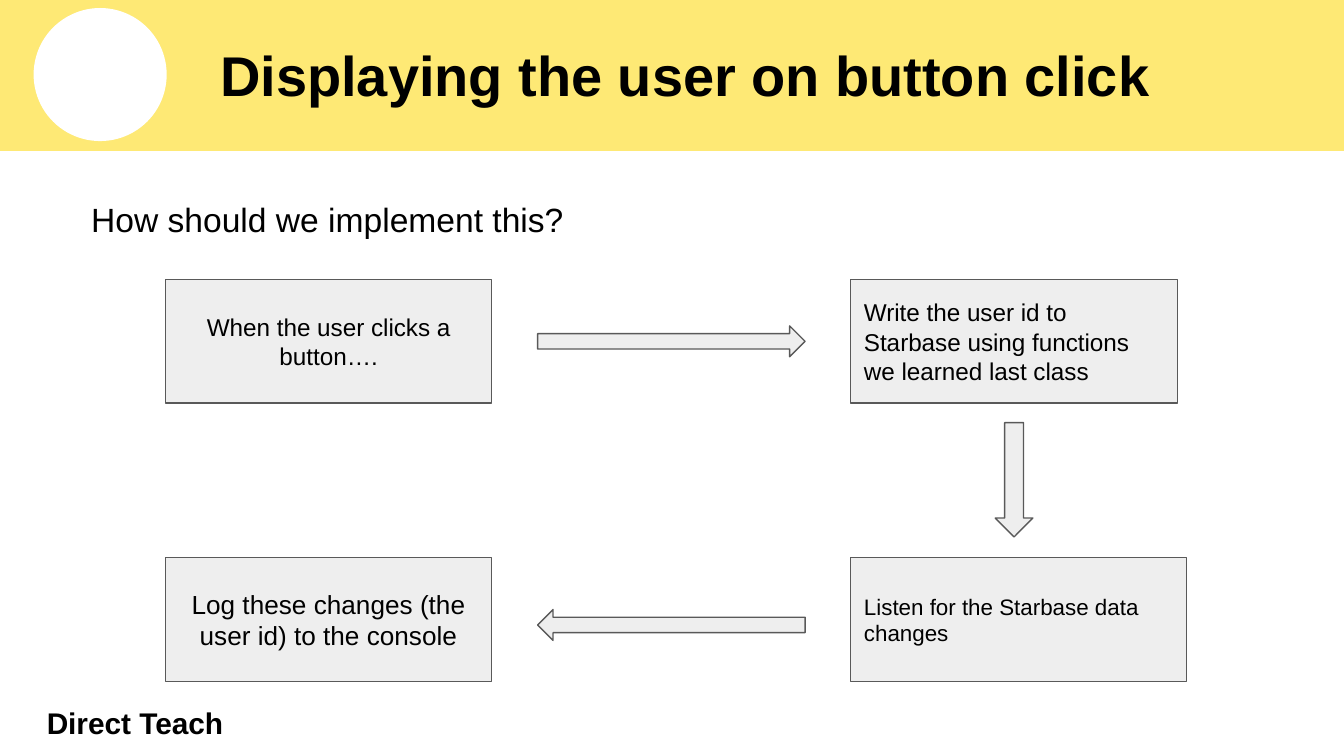
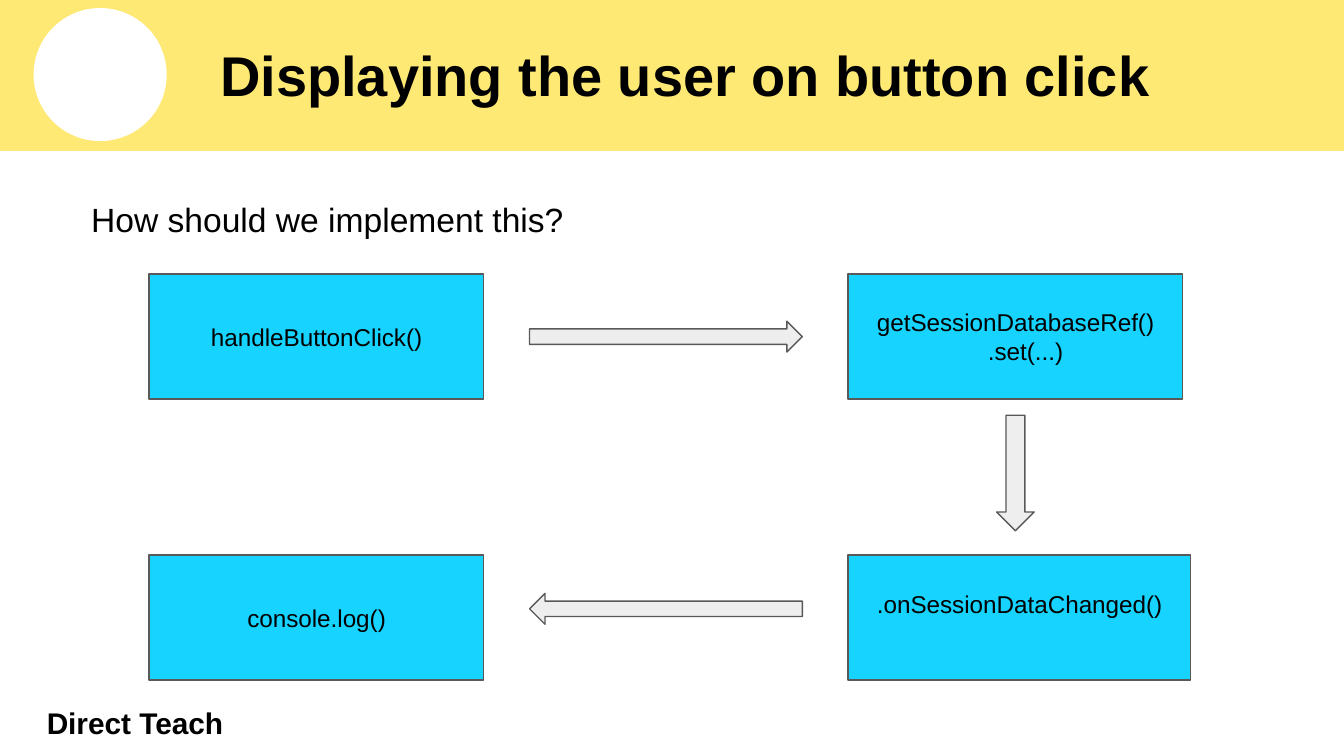
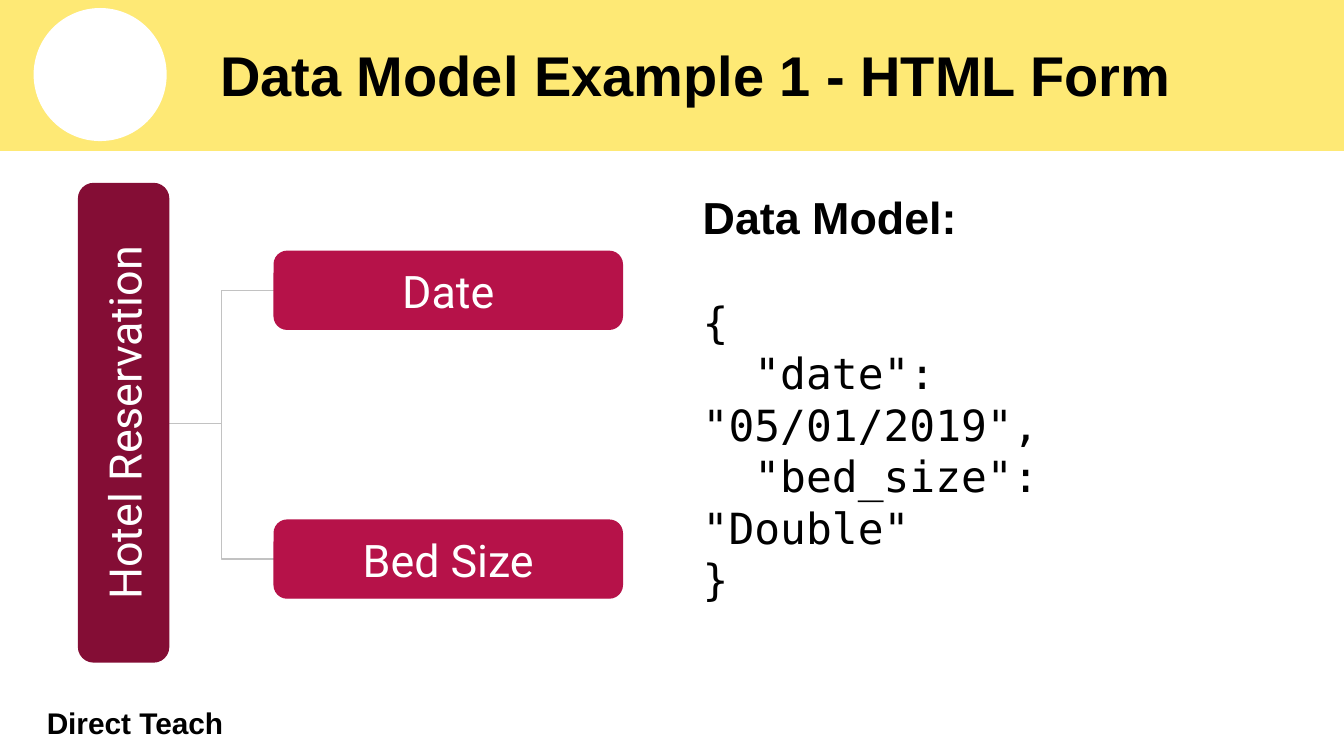
from dataclasses import dataclass

from lxml.etree import SubElement
from pptx import Presentation
from pptx.dml.color import RGBColor
from pptx.enum.shapes import MSO_CONNECTOR, MSO_SHAPE
from pptx.enum.text import MSO_ANCHOR, PP_ALIGN
from pptx.oxml.ns import qn
from pptx.util import Inches, Pt


@dataclass(frozen=True)
class Theme:
    """Colours, fonts and type sizes of the deck."""
    band: str = "FEE975"
    paper: str = "FFFFFF"
    ink: str = "000000"
    outline: str = "595959"
    idea: str = "EEEEEE"
    code: str = "17D3FF"
    root: str = "840D35"
    branch: str = "B61249"
    tree_line: str = "C2C2C2"
    sans: str = "Arial"
    mono: str = "DejaVu Sans Mono"
    label: str = "Roboto"
    title_size: int = 30
    heading_size: int = 24
    code_size: int = 23
    question_size: int = 18
    footer_size: int = 16
    box_size: int = 13
    line_width: float = 0.75


@dataclass(frozen=True)
class FlowGrid:
    """Columns and rows of a four-box flow, in grid units."""
    left: float
    right: float
    top: float
    bottom: float
    width: float
    height: float
    last_width: float
    down_center: float
    down_length: float
    return_center: float


THEME = Theme()
COLUMNS, ROWS = 10, 5.625
MARGIN = 0.1
ARROW_GAP = 0.34
ARROW_HEIGHT = 0.23
DOWN_ARROW_HEIGHT = 0.28


def grid(*units):
    """Turn grid units into lengths."""
    return [Inches(unit) for unit in units]


def color(code):
    """Return the colour of a hex code."""
    return RGBColor.from_string(code)


def style(paragraph, size, ink=THEME.ink, font=THEME.sans, bold=False):
    """Set the font of a paragraph."""
    paragraph.font.size = Pt(size)
    paragraph.font.name = font
    paragraph.font.bold = bold
    paragraph.font.color.rgb = color(ink)


def write(shape, lines, size, align=PP_ALIGN.LEFT, anchor=MSO_ANCHOR.MIDDLE, **font):
    """Fill a shape with one styled paragraph per line."""
    frame = shape.text_frame
    frame.word_wrap = True
    frame.vertical_anchor = anchor
    (frame.margin_left, frame.margin_top,
     frame.margin_right, frame.margin_bottom) = grid(*[MARGIN] * 4)
    frame.text = "\n".join(lines)
    for paragraph in frame.paragraphs:
        paragraph.alignment = align
        style(paragraph, size, **font)
    return frame


def add_text(slide, place, lines, size, **options):
    """Add a text box and return its frame."""
    return write(slide.shapes.add_textbox(*grid(*place)), lines, size, **options)


def add_block(slide, kind, place, fill, line, rotation=0):
    """Add a flat filled shape."""
    shape = slide.shapes.add_shape(kind, *grid(*place))
    shape.shadow.inherit = False
    shape.rotation = rotation
    shape.fill.solid()
    shape.fill.fore_color.rgb = color(fill)
    shape.line.color.rgb = color(line)
    shape.line.width = Pt(THEME.line_width)
    return shape


def add_arrow(slide, center_x, center_y, length, height, rotation):
    """Add a block arrow around a centre."""
    place = (center_x - length / 2, center_y - height / 2, length, height)
    add_block(slide, MSO_SHAPE.RIGHT_ARROW, place, THEME.idea, THEME.outline, rotation)


def add_label(slide, place, text, fill, rotation=0):
    """Add a rounded tree label."""
    shape = add_block(slide, MSO_SHAPE.ROUNDED_RECTANGLE, place, fill, fill, rotation)
    write(shape, [text], THEME.heading_size, PP_ALIGN.CENTER,
          ink=THEME.paper, font=THEME.label)


def add_branch_line(slide, *ends):
    """Add an elbow line between two points."""
    connector = slide.shapes.add_connector(MSO_CONNECTOR.ELBOW, *grid(*ends))
    connector.line.color.rgb = color(THEME.tree_line)
    connector.line.width = Pt(THEME.line_width)
    SubElement(connector._element.spPr, qn("a:effectLst"))


def add_slide(presentation, title):
    """Add a slide with the shared band, circle, footer and title."""
    slide = presentation.slides.add_slide(presentation.slide_layouts[6])
    add_block(slide, MSO_SHAPE.RECTANGLE, (0, -0.01, COLUMNS, 1.13), THEME.band, THEME.band)
    circle = add_block(slide, MSO_SHAPE.OVAL, (0.25, 0.06, 0.99, 0.99),
                       THEME.paper, THEME.paper)
    circle.line.fill.background()
    add_text(slide, (0.25, 5.25, 3, 0.25), ["Direct Teach"], THEME.footer_size, bold=True)
    add_text(slide, (1.54, 0.06, 8.2, 0.99), [title], THEME.title_size, bold=True)
    return slide


def add_flow_slide(presentation, flow, fill, steps):
    """Add a slide whose four steps run clockwise from the top left."""
    slide = add_slide(presentation, "Displaying the user on button click")
    add_text(slide, (0.58, 1.38, 9.08, 0.8), ["How should we implement this?"],
             THEME.question_size, anchor=MSO_ANCHOR.TOP)
    places = [(flow.left, flow.top, flow.width), (flow.right, flow.top, flow.width),
              (flow.right, flow.bottom, flow.last_width), (flow.left, flow.bottom, flow.width)]
    frames = []
    for place, (lines, size, align) in zip(places, steps):
        box = add_block(slide, MSO_SHAPE.RECTANGLE, (*place, flow.height), fill, THEME.outline)
        frames.append(write(box, lines, size, align))
    gutter_center = (flow.left + flow.width + flow.right) / 2
    length = flow.right - flow.left - flow.width - 2 * ARROW_GAP
    add_arrow(slide, gutter_center, flow.top + flow.height / 2, length, ARROW_HEIGHT, 0)
    add_arrow(slide, flow.right + flow.width / 2, flow.down_center,
              flow.down_length, DOWN_ARROW_HEIGHT, 90)
    add_arrow(slide, gutter_center, flow.return_center, length, ARROW_HEIGHT, 180)
    return frames


def add_idea_slide(presentation):
    """Add the flow told in plain words."""
    flow = FlowGrid(1.23, 6.33, 2.08, 4.15, 2.43, 0.92, 2.5, 3.57, 0.85, 4.65)
    add_flow_slide(presentation, flow, THEME.idea, [
        (["When the user clicks a button…."], THEME.box_size, PP_ALIGN.CENTER),
        (["Write the user id to Starbase using functions we learned last class"],
         THEME.box_size, PP_ALIGN.LEFT),
        (["Listen for the Starbase data changes"], THEME.box_size - 1, PP_ALIGN.LEFT),
        (["Log these changes (the user id) to the console"],
         THEME.box_size + 1, PP_ALIGN.CENTER),
    ])


def add_code_slide(presentation):
    """Add the flow told in function calls."""
    flow = FlowGrid(1.11, 6.31, 2.04, 4.13, 2.49, 0.93, 2.55, 3.52, 0.86, 4.53)
    calls = [["handleButtonClick()"], ["getSessionDatabaseRef()", "   .set(...)"],
             [".onSessionDataChanged()"], ["console.log()"]]
    frames = add_flow_slide(presentation, flow, THEME.code, [
        (lines, THEME.box_size, PP_ALIGN.CENTER) for lines in calls])
    frames[2].margin_bottom = Inches(0.3)


def add_model_slide(presentation):
    """Add the field tree beside its data model."""
    slide = add_slide(presentation, "Data Model Example 1 - HTML Form")
    lines = ["Data Model:", "{", '  "date": "05/01/2019",', '  "bed_size": "Double"', "}"]
    frame = add_text(slide, (5.13, 1.31, 4.29, 3.75), lines, THEME.code_size,
                     anchor=MSO_ANCHOR.TOP, font=THEME.mono)
    heading, opening = frame.paragraphs[:2]
    style(heading, THEME.heading_size, bold=True)
    opening.space_before = Pt(28)

    root_edge, branch_left, middle = 1.26, 2.04, 3.15
    branch_width, branch_height = 2.59, 0.58
    for text, top in (("Date", 1.87), ("Bed Size", 3.87)):
        add_branch_line(slide, root_edge, middle, branch_left, top + branch_height / 2)
        add_label(slide, (branch_left, top, branch_width, branch_height), text, THEME.branch)
    add_label(slide, (-0.86, 2.81, 3.56, 0.67), "Hotel Reservation", THEME.root, 270)


def main():
    """Build and save the deck."""
    presentation = Presentation()
    presentation.slide_width, presentation.slide_height = grid(COLUMNS, ROWS)
    add_idea_slide(presentation)
    add_code_slide(presentation)
    add_model_slide(presentation)
    presentation.save("out.pptx")


if __name__ == "__main__":
    main()
